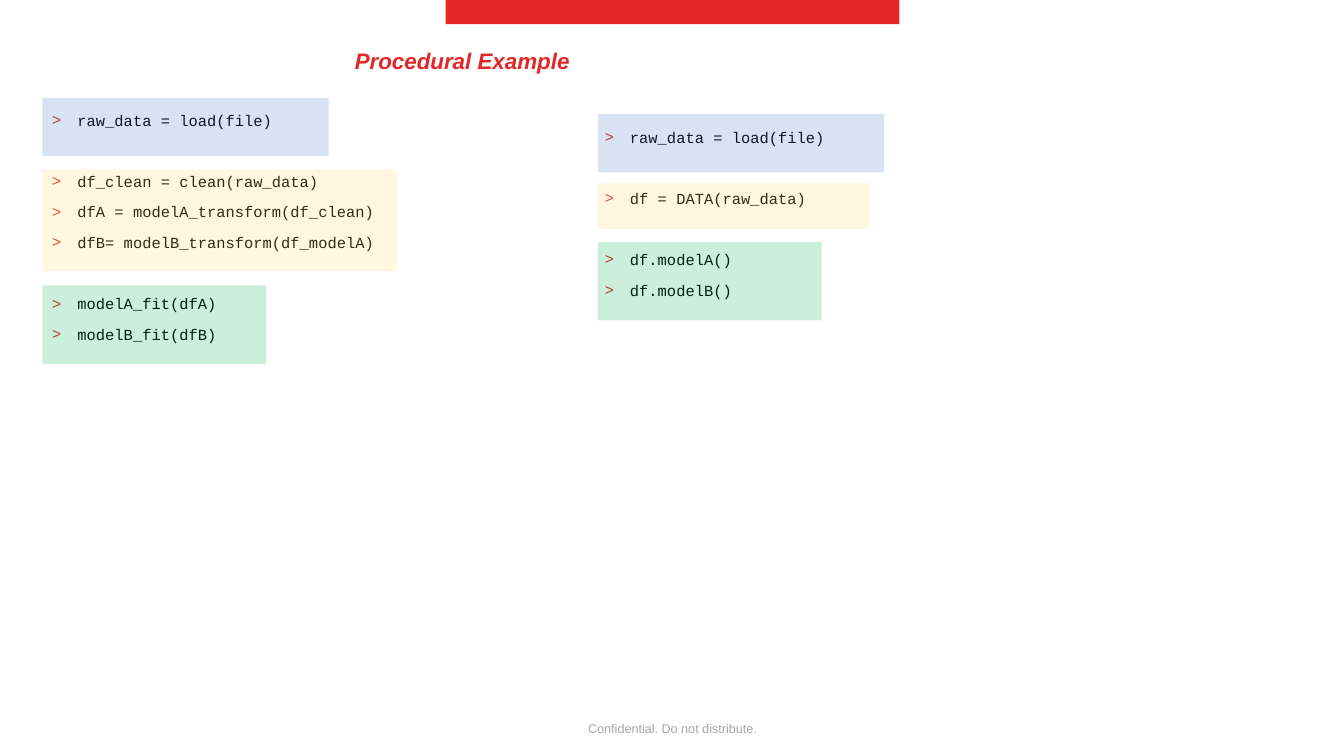
"""Build the slide comparing two versions of a procedural example."""
from lxml import etree
from pptx import Presentation
from pptx.dml.color import RGBColor
from pptx.enum.shapes import MSO_SHAPE
from pptx.enum.text import MSO_ANCHOR, PP_ALIGN
from pptx.oxml.ns import qn
from pptx.util import Inches, Pt

RED, BLUE, YELLOW, GREEN = "E32726", "4472C4", "FFD966", "00B050"


def color(hex_text):
    return RGBColor.from_string(hex_text)


def add_rectangle(left, top, width, height, fill):
    shape = slide.shapes.add_shape(
        MSO_SHAPE.RECTANGLE, Inches(left), Inches(top), Inches(width), Inches(height))
    shape.shadow.inherit = False
    shape.fill.solid()
    shape.fill.fore_color.rgb = color(fill)
    shape.line.fill.background()
    return shape


presentation = Presentation()
presentation.slide_width = Inches(13.33)
presentation.slide_height = Inches(7.5)
slide = presentation.slides.add_slide(presentation.slide_layouts[6])

add_rectangle(4.42, 0, 4.5, 0.24, RED)

captions = [
    ("Procedural Example", 3.42, 0.24, 6.51, 0.73, 16, RED, True, PP_ALIGN.LEFT, MSO_ANCHOR.MIDDLE),
    ("Confidential. Do not distribute.", 4.42, 7.1, 4.5, 0.4, 9, "A6A6A6", False,
     PP_ALIGN.CENTER, MSO_ANCHOR.TOP),
]
for text, left, top, width, height, size, text_color, emphasis, alignment, anchor in captions:
    box = slide.shapes.add_textbox(Inches(left), Inches(top), Inches(width), Inches(height))
    box.text_frame.word_wrap = True
    box.text_frame.vertical_anchor = anchor
    paragraph = box.text_frame.paragraphs[0]
    paragraph.text = text
    paragraph.alignment = alignment
    paragraph.font.name = "Arial"
    paragraph.font.size = Pt(size)
    paragraph.font.bold = paragraph.font.italic = emphasis
    paragraph.font.color.rgb = color(text_color)

code_columns = [
    (0.42, 1.07, [
        ["raw_data = load(file)"],
        ["df_clean = clean(raw_data)", "dfA = modelA_transform(df_clean)",
         "dfB= modelB_transform(df_modelA)"],
        ["modelA_fit(dfA)", "modelB_fit(dfB)"],
    ]),
    (5.9, 1.24, [
        ["raw_data = load(file)"],
        ["df = DATA(raw_data)"],
        ["df.modelA()", "df.modelB()"],
    ]),
]
for left, top, groups in code_columns:
    box = slide.shapes.add_textbox(Inches(left), Inches(top), Inches(4.9), Inches(5.54))
    frame = box.text_frame
    frame.word_wrap = True
    for group_index, group in enumerate(groups):
        for line_index, code in enumerate(group):
            is_first = group_index == line_index == 0
            paragraph = frame.paragraphs[0] if is_first else frame.add_paragraph()
            paragraph.text = code
            paragraph.line_spacing = 0.9
            if not is_first:
                paragraph.space_before = Pt(10 if line_index else 31.8)
            properties = paragraph._p.get_or_add_pPr()
            properties.set("marL", str(Inches(0.25)))
            properties.set("indent", str(Inches(-0.25)))
            bullet_color = etree.SubElement(properties, qn("a:buClr"))
            etree.SubElement(bullet_color, qn("a:srgbClr"), val=RED)
            etree.SubElement(properties, qn("a:buFont"), typeface="Arial")
            etree.SubElement(properties, qn("a:buChar"), char=">")
            paragraph.font.name = "Courier New"
            paragraph.font.size = Pt(11)
            paragraph.font.color.rgb = color("000000")

highlights = [
    (0.42, 0.97, 2.84, 0.58, BLUE),
    (5.93, 1.13, 2.84, 0.58, BLUE),
    (0.42, 1.68, 3.52, 1.01, YELLOW),
    (5.93, 1.82, 2.69, 0.45, YELLOW),
    (0.42, 2.83, 2.22, 0.78, GREEN),
    (5.93, 2.4, 2.22, 0.78, GREEN),
]
for highlight in highlights:
    shape = add_rectangle(*highlight)
    fill_color = shape._element.spPr.find(qn("a:solidFill"))[0]
    etree.SubElement(fill_color, qn("a:alpha"), val="20000")

presentation.save("out.pptx")
